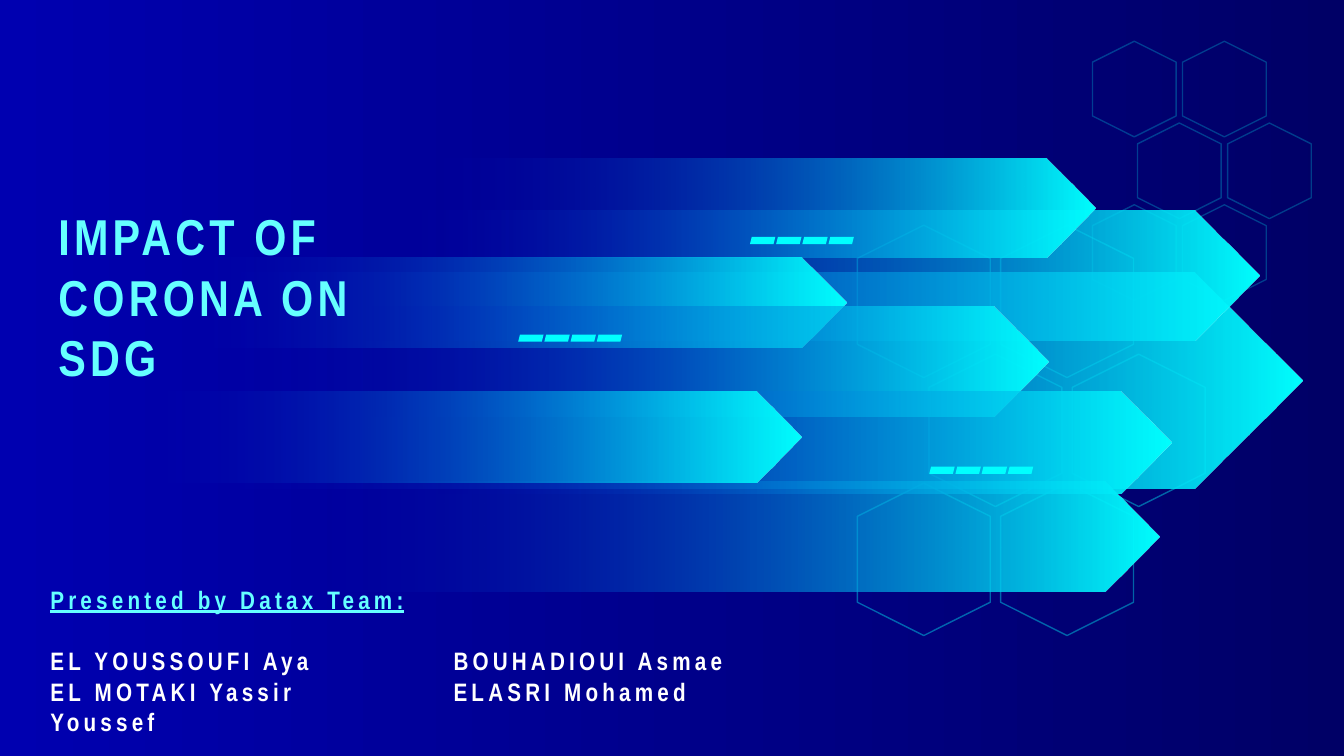
from lxml import etree
from pptx import Presentation
from pptx.dml.color import RGBColor
from pptx.enum.shapes import MSO_SHAPE as SHAPE
from pptx.enum.text import MSO_ANCHOR as ANCHOR, MSO_AUTO_SIZE as AUTO, PP_ALIGN as ALIGN
from pptx.oxml.ns import qn
from pptx.util import Cm, Pt

FONT = "Arial Narrow"
NAVY, BLUE, CYAN = "000066", "0000B0", "00FFFF"
AQUA, WHITE = "66FFFF", "FFFFFF"

ARROWS = [
    (4.22, 6.86, 28.6, 5.46),
    (9.07, 5.31, 22.68, 3.28),
    (10.49, 3.99, 17.12, 2.49),
    (4.22, 6.48, 17.12, 2.29),
    (9.3, 7.72, 17.12, 2.77),
    (7.21, 12.14, 22, 2.77),
    (10.95, 9.86, 18.57, 2.57),
    (3.07, 9.86, 17.12, 2.29),
]
DASH_ROWS = [(18.9, 5.97), (13.06, 8.43), (23.42, 11.76)]
TEAM = ["EL YOUSSOUFI Aya\tBOUHADIOUI Asmae",
        "EL MOTAKI Yassir\tELASRI Mohamed Youssef"]


def color(value):
    return RGBColor.from_string(value)


def set_alpha(clr, percent):
    etree.SubElement(clr, qn("a:alpha")).set("val", str(percent * 1000))


def set_gradient(fill, start, end):
    fill.gradient()
    fill.gradient_angle = 0
    for stop, value, position in zip(fill.gradient_stops, (start, end), (0, 1)):
        stop.color.rgb = color(value)
        stop.position = position


def add_shape(shapes, kind, x, y, w, h):
    sp = shapes.add_shape(kind, Cm(x), Cm(y), Cm(w), Cm(h))
    sp.shadow.inherit = False
    sp.line.fill.background()
    return sp


def add_honeycomb(s, x, y, w, h, step_x, step_y, opacity):
    group = s.shapes.add_group_shape()
    for row in range(3):
        for col in range(2):
            left = x + (col + row % 2 / 2) * step_x
            sp = add_shape(group.shapes, SHAPE.HEXAGON, left, y + row * step_y, w, h)
            sp.rotation = 90
            sp.adjustments[0] = 0.25
            sp.fill.background()
            sp.line.color.rgb = color(CYAN)
            sp.line.width = Pt(1)
            set_alpha(sp.element.xpath(".//a:ln//a:srgbClr")[0], opacity)


def add_arrow(s, x, y, w, h):
    sp = add_shape(s.shapes, SHAPE.PENTAGON, x, y, w, h)
    set_gradient(sp.fill, BLUE, CYAN)
    set_alpha(sp.element.xpath(".//a:gs//a:srgbClr")[0], 0)


def add_dashes(s, x, y):
    group = s.shapes.add_group_shape()
    for i in range(4):
        sp = add_shape(group.shapes, SHAPE.PARALLELOGRAM, x + i * 0.66, y, 0.64, 0.18)
        sp.fill.solid()
        sp.fill.fore_color.rgb = color(CYAN)


def write(p, text, size=18, fill=WHITE, underline=False, before=0, tab=None):
    p.alignment = ALIGN.LEFT
    p.space_before = Pt(before)
    if tab:
        tabs = etree.SubElement(p._p.get_or_add_pPr(), qn("a:tabLst"))
        etree.SubElement(tabs, qn("a:tab"), pos=str(Cm(tab)), algn="l")
    r = p.add_run()
    r.text = text
    r.font.name = FONT
    r.font.size = Pt(size)
    r.font.bold = True
    r.font.underline = underline
    r.font.color.rgb = color(fill)
    r.font._element.set("spc", "300")


def set_frame(tf, auto_size):
    tf.word_wrap = True
    tf.auto_size = auto_size
    tf.vertical_anchor = ANCHOR.TOP


def add_title(s, text):
    title = s.shapes.title
    title.left, title.top, title.width, title.height = Cm(1.22), Cm(5.05), Cm(7.98), Cm(4.88)
    set_frame(title.text_frame, AUTO.NONE)
    write(title.text_frame.paragraphs[0], text, size=36, fill=AQUA)
    title.element.getparent().append(title.element)


def add_team(s, heading, lines):
    tf = s.shapes.add_textbox(Cm(1.02), Cm(14.61), Cm(19.38), Cm(3.33)).text_frame
    set_frame(tf, AUTO.SHAPE_TO_FIT_TEXT)
    write(tf.paragraphs[0], heading, fill=AQUA, underline=True)
    for i, line in enumerate(lines):
        write(tf.add_paragraph(), line, before=0 if i else 22, tab=10.16)


def main():
    prs = Presentation()
    prs.slide_width, prs.slide_height = Cm(33.87), Cm(19.05)
    s = prs.slides.add_slide(prs.slide_layouts[5])
    set_gradient(s.background.fill, BLUE, NAVY)
    add_honeycomb(s, 21.36, 5.92, 3.84, 3.35, 3.61, 3.25, 39)
    add_honeycomb(s, 27.38, 1.19, 2.41, 2.11, 2.27, 2.06, 24)
    for arrow in ARROWS:
        add_arrow(s, *arrow)
    for row in DASH_ROWS:
        add_dashes(s, *row)
    add_title(s, "IMPACT OF CORONA ON SDG")
    add_team(s, "Presented by Datax Team:", TEAM)
    prs.save("out.pptx")


if __name__ == "__main__":
    main()
